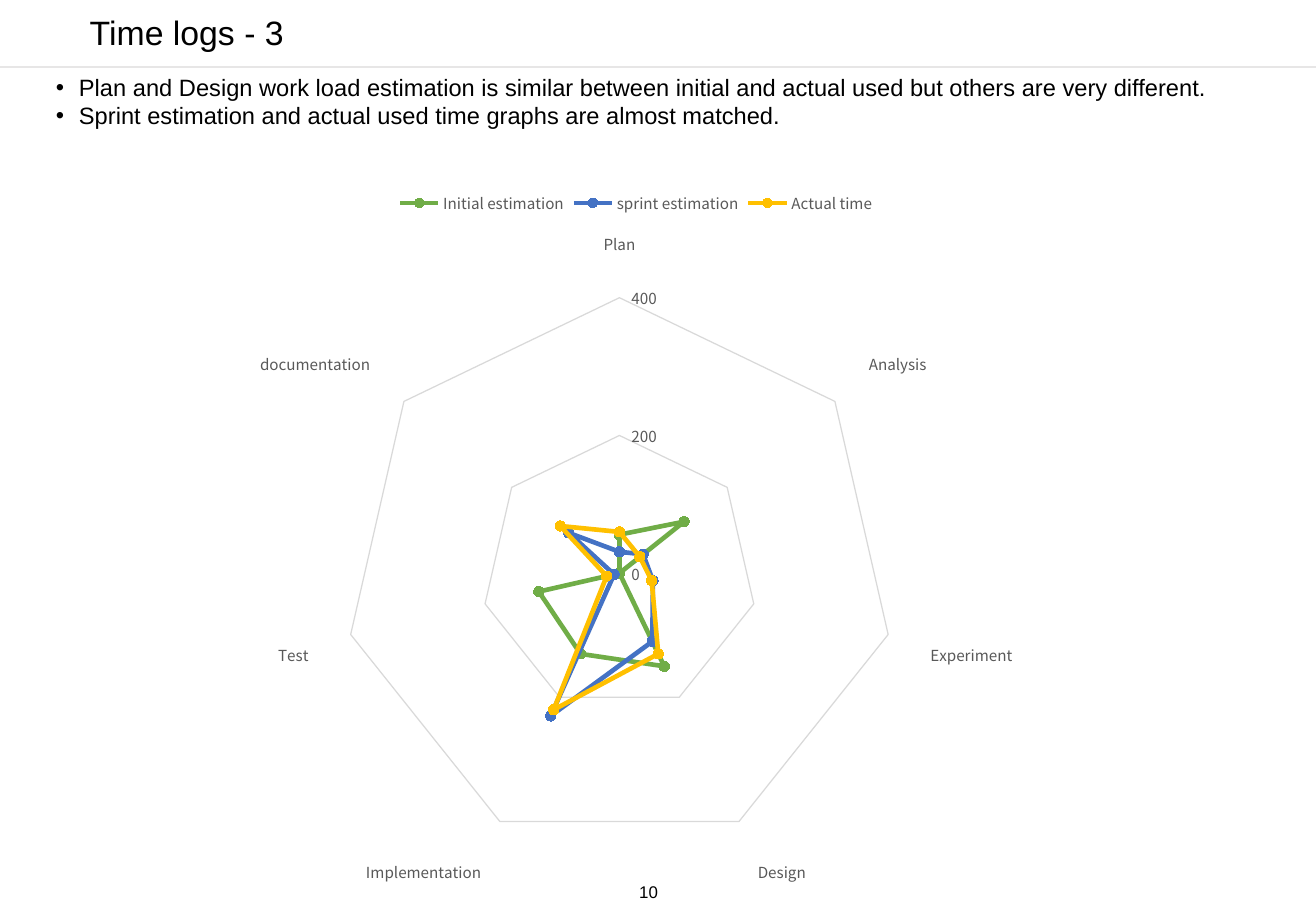
from dataclasses import dataclass

from lxml import etree
from pptx import Presentation
from pptx.chart.data import CategoryChartData
from pptx.dml.color import RGBColor
from pptx.enum.chart import XL_CHART_TYPE, XL_LEGEND_POSITION, XL_MARKER_STYLE, XL_TICK_MARK
from pptx.enum.shapes import MSO_CONNECTOR
from pptx.oxml import parse_xml
from pptx.oxml.ns import nsdecls, qn
from pptx.slide import Slide
from pptx.util import Inches, Pt

BLACK = RGBColor(0x00, 0x00, 0x00)
LABEL_GRAY = RGBColor(0x59, 0x59, 0x59)
GRID_GRAY = RGBColor(0xD9, 0xD9, 0xD9)
RULE_GRAY = RGBColor(0xE7, 0xE6, 0xE6)
GREEN = RGBColor(0x70, 0xAD, 0x47)
GREEN_MARKER = RGBColor(0x6F, 0xB2, 0x42)
BLUE = RGBColor(0x44, 0x72, 0xC4)
BLUE_MARKER = RGBColor(0x3E, 0x70, 0xCA)
YELLOW = RGBColor(0xFF, 0xC0, 0x00)

TEXT_FONT = "Arial"
CHART_FONT = "Noto Sans CJK KR"
WIDTH, HEIGHT = 10.83, 7.5


@dataclass(frozen=True)
class TextBlock:
    box: tuple[float, float, float, float]
    lines: tuple[str, ...]
    size: int
    inset: tuple[float, float]
    wrap: bool = False
    margin: float = 0
    bullet: bool = False


@dataclass(frozen=True)
class TimeSeries:
    name: str
    hours: tuple[int, ...]
    color: RGBColor
    marker_color: RGBColor


PHASES = ("Plan", "Analysis", "Experiment", "Design", "Implementation", "Test", "documentation")
SERIES = (
    TimeSeries("Initial estimation", (56, 120, 0, 150, 130, 120, 0), GREEN, GREEN_MARKER),
    TimeSeries("sprint estimation", (31, 44, 50, 110, 230, 8, 94), BLUE, BLUE_MARKER),
    TimeSeries("Actual time", (60, 38, 48, 130, 220, 19, 110), YELLOW, YELLOW),
)
TEXTS = (
    TextBlock((5.22, 7.22, 0.25, 0.25), ("10",), 10, (0.04, 0.04)),
    TextBlock((0.14, 0.05, 10.47, 0.5), ("Time logs - 3",), 20, (0.1, 0.05),
              wrap=True, margin=0.5),
    TextBlock((0.46, 0.6, 9.61, 0.67), (
        "Plan and Design work load estimation is similar between initial and actual used "
        "but others are very different.",
        "Sprint estimation and actual used time graphs are almost matched.",
    ), 14, (0, 0), margin=0.19, bullet=True),
)


def add_text(s: Slide, block: TextBlock) -> None:
    tf = s.shapes.add_textbox(*map(Inches, block.box)).text_frame
    tf.word_wrap = block.wrap
    tf.margin_left = tf.margin_right = Inches(block.inset[0])
    tf.margin_top = tf.margin_bottom = Inches(block.inset[1])
    tf.text = "\n".join(block.lines)
    for p in tf.paragraphs:
        p.font.name = TEXT_FONT
        p.font.size = Pt(block.size)
        p.font.color.rgb = BLACK
        pPr = p._p.get_or_add_pPr()
        pPr.set("marL", str(Inches(block.margin)))
        if block.bullet:
            pPr.set("indent", str(-Inches(block.margin)))
            run_defaults = pPr.find(qn("a:defRPr"))
            for tag in (f'buFont {nsdecls("a")} typeface="{TEXT_FONT}"',
                        f'buChar {nsdecls("a")} char="•"'):
                run_defaults.addprevious(parse_xml(f"<a:{tag}/>"))


def add_title_rule(s: Slide) -> None:
    y = Inches(0.55)
    rule = s.shapes.add_connector(MSO_CONNECTOR.STRAIGHT, 0, y, Inches(WIDTH), y)
    rule.line.color.rgb = RULE_GRAY
    rule.line.width = Pt(1)
    etree.SubElement(rule._element.spPr, qn("a:effectLst"))


def style_font(font, size: int, color: RGBColor) -> None:
    font.name = CHART_FONT
    font.size = Pt(size)
    font.color.rgb = color


def style_line(line, color: RGBColor, width: float) -> None:
    line.color.rgb = color
    line.width = Pt(width)


def add_radar(s: Slide) -> None:
    data = CategoryChartData()
    data.categories = PHASES
    for series in SERIES:
        data.add_series(series.name, series.hours)
    frame = (Inches(v) for v in (1.09, 1.47, 8.29, 5.91))
    chart = s.shapes.add_chart(XL_CHART_TYPE.RADAR_MARKERS, *frame, data).chart
    style_font(chart.font, 10, BLACK)
    chart.has_title = False
    chart.has_legend = True
    chart.legend.position = XL_LEGEND_POSITION.TOP
    chart.legend.include_in_layout = False
    style_font(chart.legend.font, 9, LABEL_GRAY)
    chart.plots[0].vary_by_categories = False

    phases, hours = chart.category_axis, chart.value_axis
    for axis in (phases, hours):
        style_font(axis.tick_labels.font, 9, LABEL_GRAY)
        axis.has_major_gridlines = True
        style_line(axis.major_gridlines.format.line, GRID_GRAY, 0.75)
    phases.major_tick_mark = XL_TICK_MARK.NONE
    style_line(phases.format.line, GRID_GRAY, 1)
    hours.major_tick_mark = XL_TICK_MARK.OUTSIDE
    hours.minimum_scale, hours.maximum_scale, hours.major_unit = 0, 400, 200
    hours.format.line.fill.background()

    for plotted, series in zip(chart.plots[0].series, SERIES):
        style_line(plotted.format.line, series.color, 2.75)
        marker = plotted.marker
        marker.style = XL_MARKER_STYLE.CIRCLE
        marker.size = 6
        marker.format.fill.solid()
        marker.format.fill.fore_color.rgb = series.marker_color
        style_line(marker.format.line, series.marker_color, 0.75)


def main() -> None:
    prs = Presentation()
    prs.slide_width, prs.slide_height = Inches(WIDTH), Inches(HEIGHT)
    s = prs.slides.add_slide(prs.slide_layouts[6])
    add_title_rule(s)
    add_radar(s)
    for block in TEXTS:
        add_text(s, block)
    prs.save("out.pptx")


if __name__ == "__main__":
    main()
